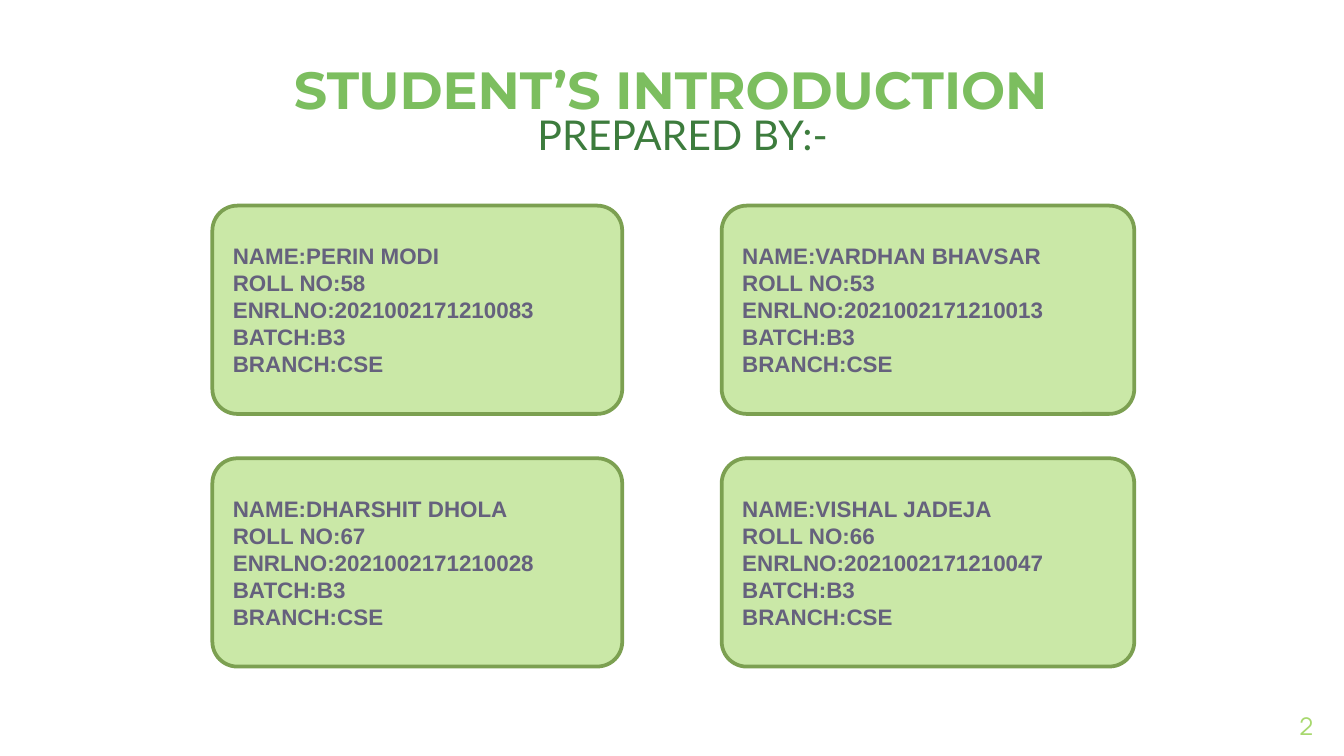
from pptx import Presentation, util as u
from pptx.dml.color import RGBColor
from pptx.enum import shapes, text

# Content
TITLE = "STUDENT’S INTRODUCTION"
SUB = "PREPARED BY:-"
PAGE = "2"
LABELS = ("NAME", "ROLL NO", "ENRLNO", "BATCH", "BRANCH")
CARDS = [
    [("PERIN MODI", "58", "2021002171210083", "B3", "CSE"),
     ("VARDHAN BHAVSAR", "53", "2021002171210013", "B3", "CSE")],
    [("DHARSHIT DHOLA", "67", "2021002171210028", "B3", "CSE"),
     ("VISHAL JADEJA", "66", "2021002171210047", "B3", "CSE")],
]

# Grid, in inches, on a 16:9 slide
WIDE = 10
HIGH = WIDE * 9 / 16
COLS = [(1.58, 3.05), (5.37, 3.07)]  # left, width
TOP, STEP, TALL = 1.53, 1.88, 1.55


def color(code):
    return RGBColor.from_string(code)


def box(*sides):
    return [u.Inches(side) for side in sides]


def write(shape, lines, face, size, code, bold=False,
          align=text.PP_ALIGN.CENTER, anchor=text.MSO_ANCHOR.MIDDLE):
    frame = shape.text_frame
    frame.text = "\n".join(lines)
    frame.word_wrap = True
    frame.auto_size = text.MSO_AUTO_SIZE.NONE
    frame.vertical_anchor = anchor
    for para in frame.paragraphs:
        para.alignment = align
        font = para.font
        font.name, font.size, font.bold = face, u.Pt(size), bold
        font.color.rgb = color(code)
    return frame


def pad(frame, gap):
    frame.margin_left = frame.margin_right = u.Inches(gap)
    frame.margin_top = frame.margin_bottom = u.Inches(gap)


deck = Presentation()
deck.slide_width, deck.slide_height = box(WIDE, HIGH)
slide = deck.slides.add_slide(deck.slide_layouts[5])

# Title
title = slide.shapes.title
title.left, title.top, title.width, title.height = box(0.83, 0, 8.32, 0.99)
pad(write(title, [TITLE], "Montserrat", 28, "7CBE5F", True,
          anchor=text.MSO_ANCHOR.BOTTOM), 0.1)

# Subtitle
sub = slide.shapes.add_textbox(*box(3.58, 0.8, 3, 0.4))
pad(write(sub, [SUB], "Lato", 22, "3D7C3D"), 0)

# Student cards
for row, group in enumerate(CARDS):
    for (left, width), facts in zip(COLS, group):
        card = slide.shapes.add_shape(
            shapes.MSO_SHAPE.ROUNDED_RECTANGLE,
            *box(left, TOP + row * STEP, width, TALL))
        card.adjustments[0] = 0.12
        card.shadow.inherit = False
        card.fill.solid()
        card.fill.fore_color.rgb = color("CAE8A7")
        card.line.color.rgb = color("7CA051")
        card.line.width = u.Pt(2)
        lines = [f"{label}:{fact}" for label, fact in zip(LABELS, facts)]
        write(card, lines, "Arial", 12, "65617D", True, text.PP_ALIGN.LEFT)

# Page number
page = slide.shapes.add_textbox(*box(9.27, 5.19, 0.6, 0.43))
pad(write(page, [PAGE], "Manrope", 13, "A7D86D",
          align=text.PP_ALIGN.RIGHT, anchor=text.MSO_ANCHOR.TOP), 0.1)

deck.save("out.pptx")
